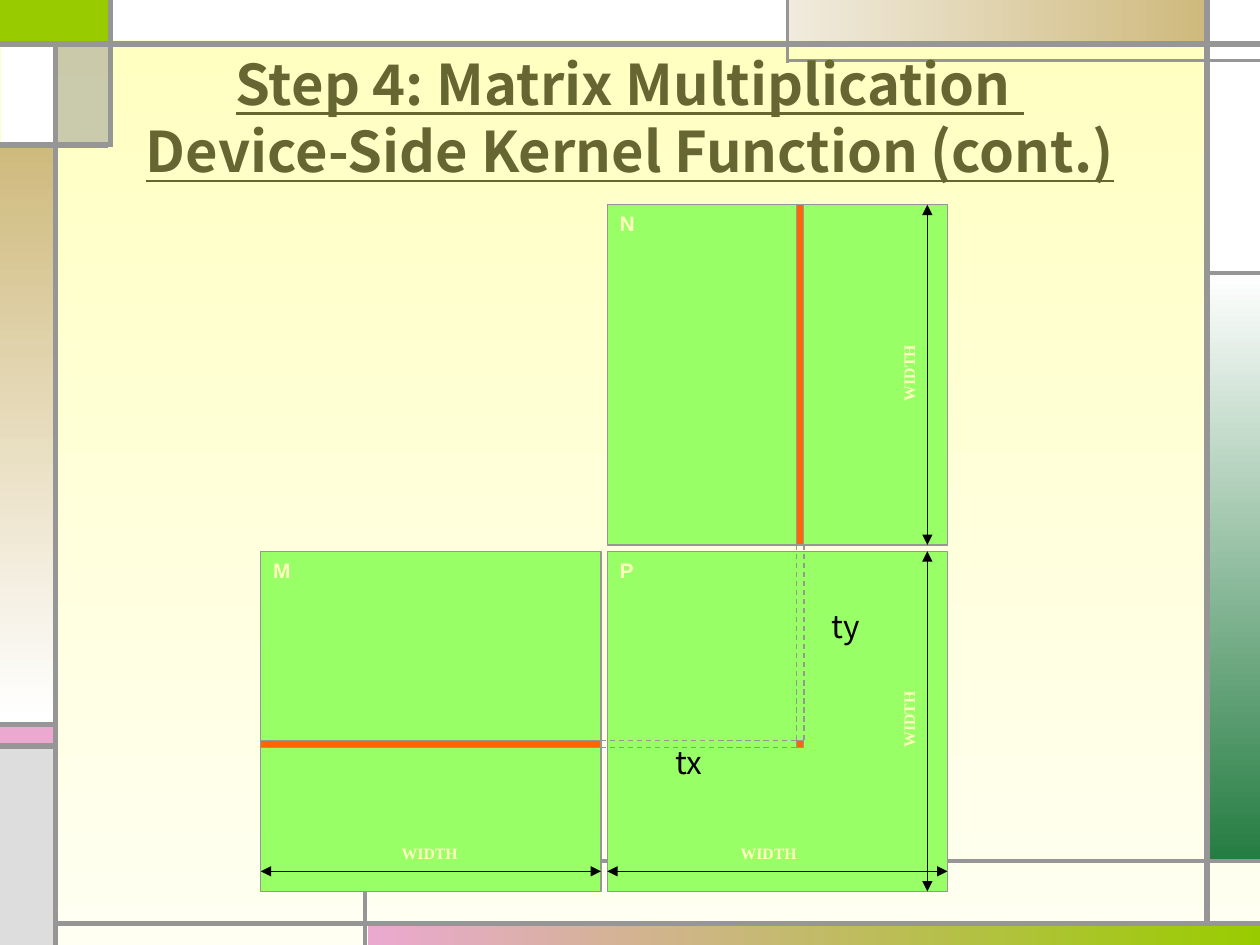
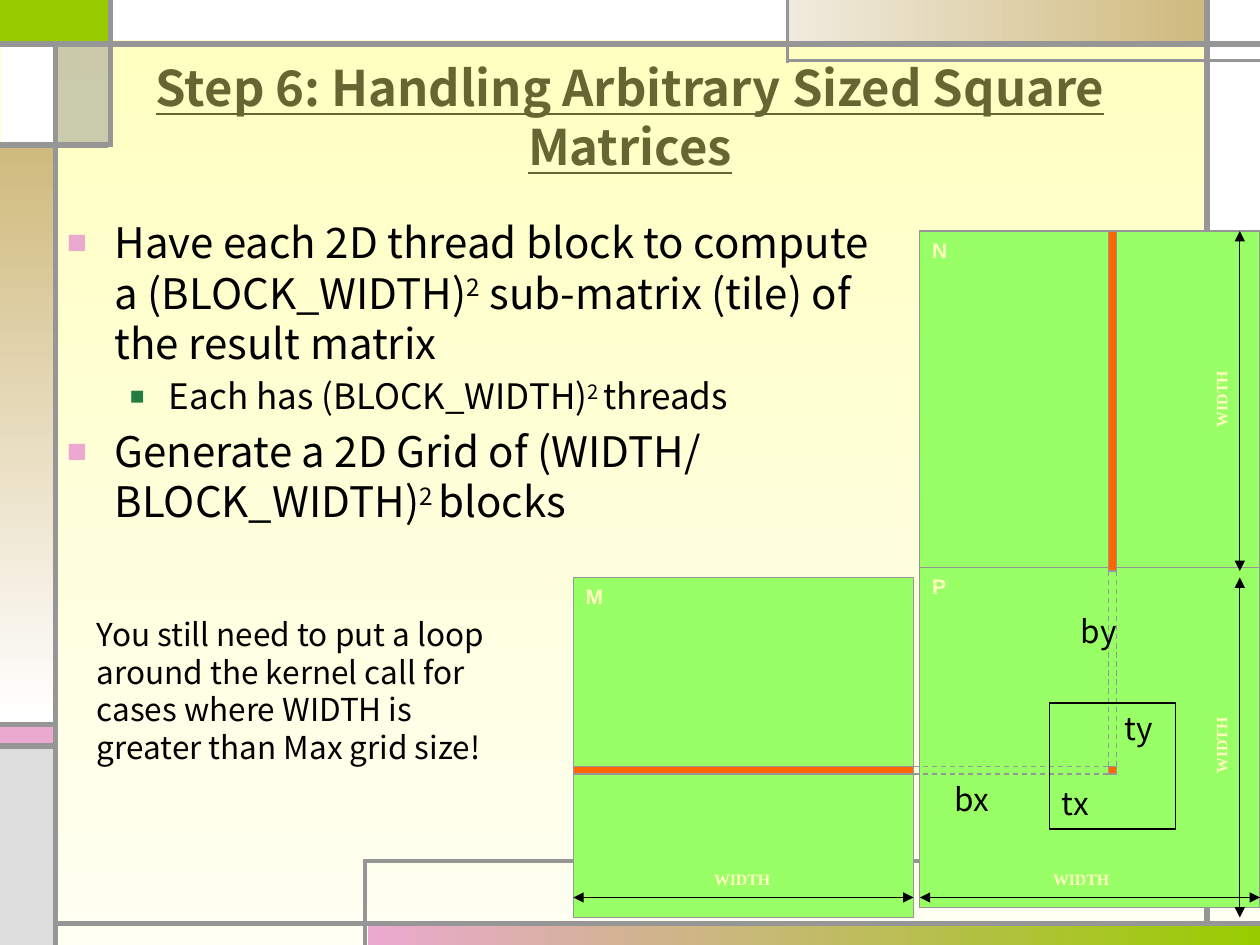
"""Build two slides on tiled matrix multiplication."""
from dataclasses import dataclass
from typing import Optional

from lxml.etree import SubElement
from pptx import Presentation
from pptx.dml.color import RGBColor
from pptx.enum.dml import MSO_LINE
from pptx.enum.shapes import MSO_CONNECTOR, MSO_SHAPE
from pptx.enum.text import MSO_ANCHOR, MSO_AUTO_SIZE, PP_ALIGN
from pptx.oxml.ns import qn
from pptx.util import Emu, Inches, Pt

COLS, ROWS = 100, 75
CELL = Inches(0.1)
SIDE, STEP, BAR = 27, 27.5, 0.6
HIT, DIM = 42.5, 52.9

BLACK = RGBColor(0x00, 0x00, 0x00)
WHITE = RGBColor(0xFF, 0xFF, 0xFF)
GRAY = RGBColor(0x96, 0x96, 0x96)
SILVER = RGBColor(0xDD, 0xDD, 0xDD)
LIME = RGBColor(0x99, 0xCC, 0x00)
MINT = RGBColor(0x99, 0xFF, 0x66)
GREEN = RGBColor(0x24, 0x7C, 0x41)
PINK = RGBColor(0xEB, 0xA9, 0xD0)
TAN = RGBColor(0xCF, 0xBA, 0x7D)
SAND = RGBColor(0xF0, 0xEB, 0xDE)
CREAM = RGBColor(0xFF, 0xFF, 0xBF)
IVORY = RGBColor(0xFF, 0xFF, 0xF2)
ORANGE = RGBColor(0xFF, 0x66, 0x00)
OLIVE = RGBColor(0x66, 0x66, 0x33)

SANS, ARIAL, SERIF = "Noto Sans CJK KR", "Arial", "Times New Roman"


@dataclass(frozen=True)
class Band:
    """A filled block of the frame, in grid cells."""
    x: float
    y: float
    w: float
    h: float
    hue: RGBColor
    end: Optional[RGBColor] = None
    turn: int = 0
    clear: bool = False


@dataclass(frozen=True)
class Rule:
    """A straight line, in grid cells."""
    x: float
    y: float
    x2: float
    y2: float
    width: float = 3
    hue: RGBColor = GRAY
    dash: bool = False
    heads: bool = False


@dataclass(frozen=True)
class Tag:
    """A short label at a grid place."""
    text: str
    x: float
    y: float
    w: float = 5


@dataclass(frozen=True)
class Point:
    """A bullet line of the body."""
    text: str
    size: int = 24
    level: int = 0
    left: float = 0.38
    hang: float = 0.38
    hue: RGBColor = PINK
    scale: int = 80
    gap: float = 4.8


BANDS = [
    Band(0, 0, 8.7, 3.4, LIME),
    Band(29.2, 73.3, 70.8, 1.7, PINK, LIME),
    Band(95.8, 21.7, 4.2, 46.7, WHITE, GREEN, 270),
    Band(0, 57.5, 4.2, 1.7, PINK),
    Band(0, 59.3, 4.2, 15.7, SILVER),
    Band(95.8, 0, 4.2, 21.7, WHITE),
    Band(62.5, 0, 33.3, 3.3, SAND, TAN),
    Band(4.6, 3.3, 4.2, 8.2, GRAY, clear=True),
    Band(0, 11.5, 4.2, 45.8, TAN, WHITE, 270),
    Band(0.1, 3.3, 4.2, 8.2, WHITE),
    Band(8.6, 0, 53.9, 3.2, WHITE),
]
RULES = [
    Rule(4.4, 75, 4.4, 3.3),
    Rule(4.4, 73.3, COLS, 73.3),
    Rule(95.8, 73.3, 95.8, 0),
    Rule(0, 3.5, COLS, 3.5),
    Rule(COLS, 4.8, 62.5, 4.8, 2.25),
    Rule(62.5, 5, 62.5, 0, 2.25),
    Rule(95.8, 21.7, COLS, 21.7, 2.25),
    Rule(8.8, 0, 8.8, 11.7),
    Rule(8.6, 11.5, 0, 11.5),
    Rule(29, ROWS, 29, 68.2, 2.25),
    Rule(28.9, 68.3, COLS, 68.3, 2.25),
    Rule(4.6, 57.5, 0, 57.5),
    Rule(4.6, 59.2, 0, 59.2),
]
POINTS = [
    Point("Have each 2D thread block to compute a (BLOCK_WIDTH)^2^ sub-matrix"
          " (tile) of the result matrix", gap=0),
    Point("Each has (BLOCK_WIDTH)^2 ^threads", 20, 1, 0.81, 0.31, GREEN, 70, 4),
    Point("Generate a 2D Grid of (WIDTH/\nBLOCK_WIDTH)^2 ^blocks"),
]
LOOP = ("You still need to put a loop\naround the kernel call for\n"
        "cases where WIDTH is\ngreater than Max grid size!")


def grid(*cells: float) -> list[Emu]:
    """Turn grid cells into lengths."""
    return [Emu(round(n * CELL)) for n in cells]


def write(par, text: str, size: float = 18, name: str = SANS,
          hue: RGBColor = BLACK, bold: bool = False, under: bool = False,
          align=PP_ALIGN.LEFT) -> None:
    """Fill a paragraph; carets enclose superscripts, newlines break lines."""
    par.alignment = align
    if name == SANS:
        par.line_spacing = Pt(round(size * 1.2, 1))
    for row, line in enumerate(text.split("\n")):
        if row:
            par.add_line_break()
        for part, piece in enumerate(line.split("^")):
            run = par.add_run()
            run.text = piece
            font = run.font
            font.size, font.name, font.bold = Pt(size), name, bold
            font.underline = under
            font.color.rgb = hue
            if part % 2:
                run._r.get_or_add_rPr().set("baseline", "30000")


def blend(fill, start: RGBColor, end: RGBColor, turn: int) -> None:
    """Give a fill a two-colour gradient."""
    fill.gradient()
    fill.gradient_angle = turn
    for stop, hue in zip(fill.gradient_stops, (start, end)):
        stop.color.rgb = hue


def block(shapes, x: float, y: float, w: float, h: float,
          hue: Optional[RGBColor] = None, edge: Optional[RGBColor] = None):
    """Draw a rectangle with an optional fill and edge."""
    shape = shapes.add_shape(MSO_SHAPE.RECTANGLE, *grid(x, y, w, h))
    shape.shadow.inherit = False
    if hue is None:
        shape.fill.background()
    else:
        shape.fill.solid()
        shape.fill.fore_color.rgb = hue
    if edge is None:
        shape.line.fill.background()
    else:
        shape.line.color.rgb = edge
        shape.line.width = Pt(0.75)
    return shape


def rule(shapes, item: Rule) -> None:
    """Draw a line with optional dashes and arrowheads."""
    line = shapes.add_connector(
        MSO_CONNECTOR.STRAIGHT, *grid(item.x, item.y, item.x2, item.y2))
    line.line.color.rgb = item.hue
    line.line.width = Pt(item.width)
    if item.dash:
        line.line.dash_style = MSO_LINE.DASH
    props = line.element.spPr
    if item.heads:
        for end in ("a:headEnd", "a:tailEnd"):
            SubElement(props.find(qn("a:ln")), qn(end), type="triangle")
    SubElement(props, qn("a:effectLst"))


def label(shapes, tag: Tag, h: float = 5, wrap: bool = False,
          inset: Optional[int] = None, turn: int = 0, **look) -> None:
    """Add a text box with one paragraph."""
    box = shapes.add_textbox(*grid(tag.x, tag.y, tag.w, h))
    box.rotation = turn
    frame = box.text_frame
    frame.word_wrap = wrap
    frame.auto_size = MSO_AUTO_SIZE.SHAPE_TO_FIT_TEXT
    if inset is not None:
        frame.margin_left = frame.margin_right = inset
        frame.margin_top = frame.margin_bottom = inset
    write(frame.paragraphs[0], tag.text, **look)


def place(shape, x: float, y: float, w: float, h: float, anchor):
    """Move a placeholder and return its text frame."""
    shape.left, shape.top, shape.width, shape.height = grid(x, y, w, h)
    frame = shape.text_frame
    frame.word_wrap = True
    frame.auto_size = MSO_AUTO_SIZE.NONE
    frame.vertical_anchor = anchor
    return frame


def head(slide, text: str, size: int) -> None:
    """Format the slide title."""
    frame = place(slide.shapes.title, 5, 3, 90, 12.5, MSO_ANCHOR.MIDDLE)
    write(frame.paragraphs[0], text, size=size, hue=OLIVE, bold=True,
          under=True, align=PP_ALIGN.CENTER)


def points(frame) -> None:
    """Write the bullet lines."""
    for num, item in enumerate(POINTS):
        par = frame.add_paragraph() if num else frame.paragraphs[0]
        par.level = item.level
        props = par._p.get_or_add_pPr()
        props.set("marL", str(Inches(item.left)))
        props.set("indent", str(-Inches(item.hang)))
        tint = SubElement(props, qn("a:buClr"))
        SubElement(tint, qn("a:srgbClr"), val=str(item.hue))
        SubElement(props, qn("a:buSzPct"), val=str(item.scale * 1000))
        SubElement(props, qn("a:buChar"), char="■")
        par.space_before = Pt(item.gap)
        write(par, item.text, size=item.size)


def dress(deck, slide) -> None:
    """Draw the shared frame and move it to the slide master."""
    master = deck.slide_master
    blend(master.background.fill, CREAM, IVORY, 270)
    group = slide.shapes.add_group_shape()
    for band in BANDS:
        shape = block(group.shapes, band.x, band.y, band.w, band.h, band.hue)
        if band.end is not None:
            blend(shape.fill, band.hue, band.end, band.turn)
        if band.clear:
            tint = shape.element.spPr.find(qn("a:solidFill"))[0]
            SubElement(tint, qn("a:alpha"), val="50000")
    for item in RULES:
        rule(group.shapes, item)
    for num, node in enumerate(group.element.iter(qn("p:cNvPr")), 100):
        node.set("id", str(num))
    master.shapes.element.append(group.element)


def figure(slide, x: float, y: float, lift: float = 0) -> None:
    """Draw matrices M, N and P with the row and column that meet in P."""
    shapes = slide.shapes
    for name, dx, dy in (("M", 0, STEP), ("N", STEP, 0),
                         ("P", STEP, STEP - lift)):
        frame = block(shapes, x + dx, y + dy, SIDE, SIDE, MINT, GRAY).text_frame
        frame.vertical_anchor = MSO_ANCHOR.TOP
        write(frame.paragraphs[0], name, size=12, name=ARIAL, hue=CREAM,
              bold=True)
    for dx, dy, w, h in ((HIT, 0, BAR, SIDE), (0, HIT, SIDE, BAR),
                         (HIT, HIT, BAR, BAR)):
        block(shapes, x + dx, y + dy, w, h, ORANGE, GRAY)
    for off in (HIT, HIT + BAR):
        rule(shapes, Rule(x + off, y + SIDE, x + off, y + HIT, 0.75, dash=True))
        rule(shapes, Rule(x + SIDE, y + off, x + HIT, y + off, 0.75, dash=True))
    for off in (0, STEP):
        rule(shapes, Rule(x + off + SIDE, y + DIM, x + off, y + DIM, 0.5,
                          BLACK, heads=True))
        rule(shapes, Rule(x + DIM, y + off + SIDE, x + DIM, y + off, 0.5,
                          BLACK, heads=True))
    for dx, dy, turn in ((49.1, 12.6, 270), (49.1, 40.1, 270),
                         (11.1, 50.7, 0), (38, 50.7, 0)):
        label(shapes, Tag("WIDTH", x + dx, y + dy, 4.6), h=1.5, inset=0,
              turn=turn, size=9, name=SERIF, hue=CREAM, bold=True,
              align=PP_ALIGN.CENTER)


def main() -> None:
    """Build and save the deck."""
    deck = Presentation()
    deck.slide_width, deck.slide_height = grid(COLS, ROWS)

    kernel = deck.slides.add_slide(deck.slide_layouts[5])
    dress(deck, kernel)
    head(kernel, "Step 4: Matrix Multiplication \n"
                 "Device-Side Kernel Function (cont.)", 32)
    figure(kernel, 20.7, 16.25)
    for tag in (Tag("ty", 65, 47.7), Tag("tx", 52.6, 58.5, 4.8)):
        label(kernel.shapes, tag)

    tiles = deck.slides.add_slide(deck.slide_layouts[1])
    head(tiles, "Step 6: Handling Arbitrary Sized Square Matrices", 28)
    points(place(tiles.placeholders[1], 4.3, 16.7, 67.7, 50, MSO_ANCHOR.TOP))
    figure(tiles, 45.5, 18.33, 0.8)
    block(tiles.shapes, 83.3, 55.8, 10, 10, edge=BLACK)
    for tag in (Tag("ty", 88.3, 55.8), Tag("tx", 83.3, 61.7, 4.8),
                Tag("by", 84.8, 48.1, 5.7), Tag("bx", 74.8, 61.4, 5.6)):
        label(tiles.shapes, tag)
    label(tiles.shapes, Tag(LOOP, 6.7, 48.3, 36.2), h=13.1, wrap=True)
    deck.save("out.pptx")


if __name__ == "__main__":
    main()
